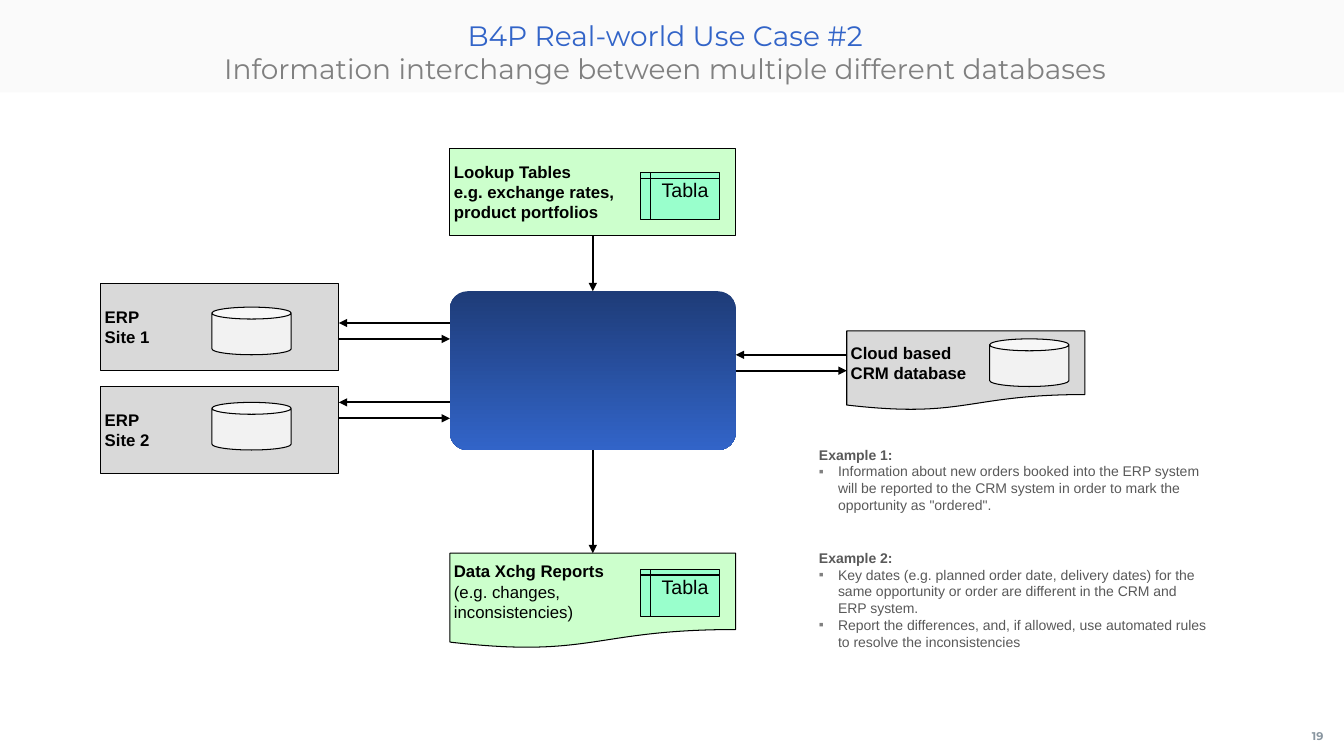
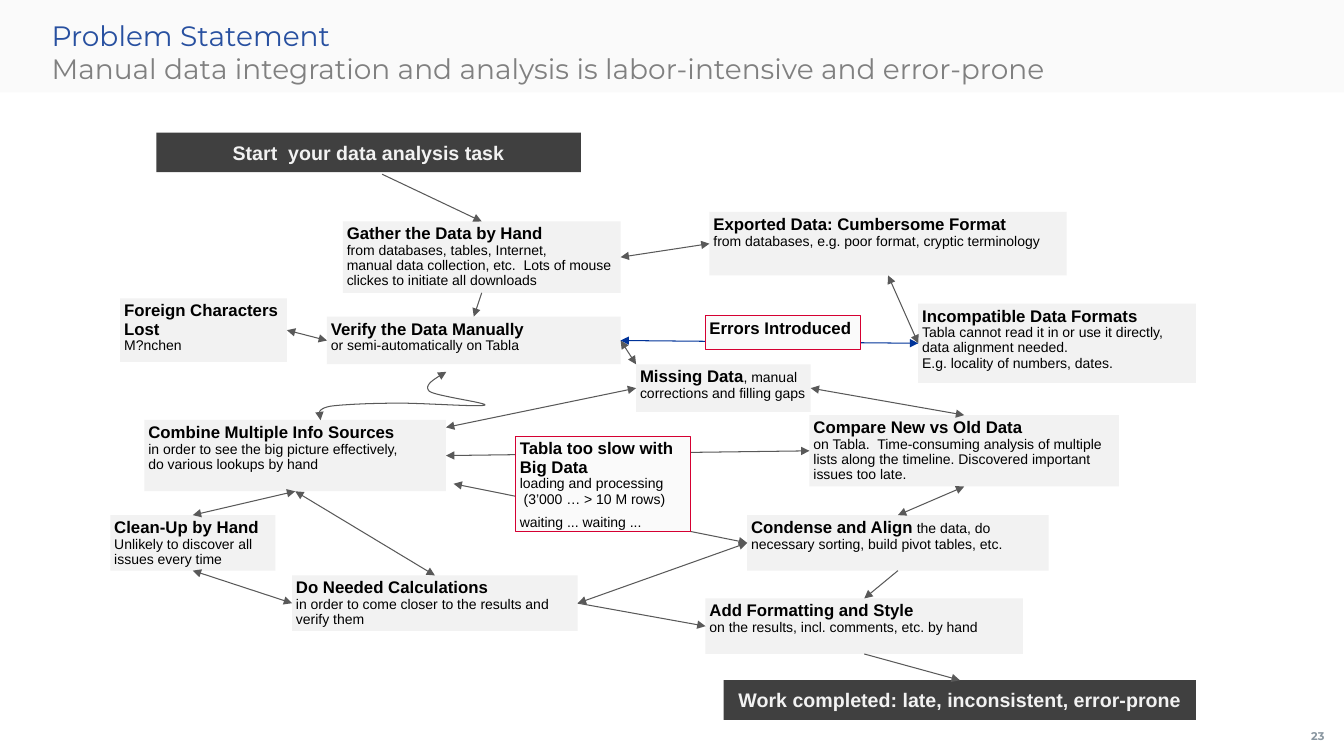
from collections import namedtuple
from lxml.etree import SubElement
from pptx import Presentation
from pptx.dml.color import RGBColor
from pptx.enum.shapes import MSO_CONNECTOR, MSO_SHAPE as Preset
from pptx.enum.text import MSO_ANCHOR as Anchor, PP_ALIGN as Align
from pptx.oxml.ns import qn
from pptx.util import Cm, Pt

Style = namedtuple("Style", "size bold color font bullet", defaults=("Arial", None))
rgb = RGBColor.from_string


class Theme:
    black = rgb("000000")
    pale, alert_fill, dark = rgb("F2F2F2"), rgb("FAFAFA"), rgb("404040")
    system, green, mint = rgb("D9D9D9"), rgb("CCFFCC"), rgb("99FFCC")
    navy, blue, accent = rgb("1E3C78"), rgb("3264C8"), rgb("003399")
    red, gray, bullet_gray = rgb("D50032"), rgb("595959"), rgb("808080")
    thin, thick = Pt(0.75), Pt(1.5)
    case_title = Style(20, False, blue, "Montserrat")
    problem_title = Style(20, False, rgb("2850A0"), "Montserrat")
    subtitle = Style(20, False, bullet_gray, "Montserrat")
    page = Style(8, True, rgb("8996A0"), "Montserrat")
    label = Style(12, True, black)
    detail = Style(12, False, black)
    sheet = Style(14, False, black)
    example = Style(10, True, gray)
    point = Style(10, False, gray, "Arial", "▪")
    bar = Style(14, True, pale)
    note = Style(10, False, black)


def block(slide, preset, at, paragraphs=(), fill=None, edge=None,
          align=Align.LEFT, anchor=Anchor.MIDDLE, inset=0.1):
    place = [Cm(length) for length in at]
    if preset is None:
        shape = slide.shapes.add_textbox(*place)
    else:
        shape = slide.shapes.add_shape(preset, *place)
        shape.shadow.inherit = False
    if fill is None:
        shape.fill.background()
    else:
        shape.fill.solid()
        shape.fill.fore_color.rgb = fill
    if edge is None:
        shape.line.fill.background()
    else:
        shape.line.color.rgb = edge
        shape.line.width = Theme.thin
    frame = shape.text_frame
    frame.word_wrap = True
    frame.vertical_anchor = anchor
    frame.margin_left = frame.margin_right = Cm(inset)
    frame.margin_top = frame.margin_bottom = Cm(inset)
    for index, runs in enumerate(paragraphs):
        paragraph = frame.add_paragraph() if index else frame.paragraphs[0]
        paragraph.alignment = align
        base = runs[-1][0]
        if base.bullet:
            props = paragraph._p.get_or_add_pPr()
            props.set("marL", str(Cm(0.48)))
            props.set("indent", str(-Cm(0.48)))
            tint = SubElement(props, qn("a:buClr"))
            SubElement(tint, qn("a:srgbClr"), val=str(Theme.bullet_gray))
            SubElement(props, qn("a:buFont"), typeface=base.font)
            SubElement(props, qn("a:buChar"), char=base.bullet)
        styled = [(paragraph.font, base)]
        for style, text in runs:
            for row, part in enumerate(text.split("\n")):
                if row:
                    paragraph.add_line_break()
                if part:
                    run = paragraph.add_run()
                    run.text = part
                    if style != base:
                        styled.append((run.font, style))
        for font, style in styled:
            font.name, font.size, font.bold = style.font, Pt(style.size), style.bold
            font.color.rgb = style.color
    return shape


def arrow(slide, points, color=Theme.gray, width=Theme.thin, both=False):
    if len(points) > 2:
        corners = [(Cm(x), Cm(y)) for x, y in points]
        path_builder = slide.shapes.build_freeform(*corners[0])
        path_builder.add_line_segments(corners[1:], close=False)
        stroke = path_builder.convert_to_shape()
        stroke.fill.background()
    else:
        start, end = points
        stroke = slide.shapes.add_connector(MSO_CONNECTOR.STRAIGHT, 0, 0, 0, 0)
        if isinstance(start[0], (int, float)):
            stroke.begin_x, stroke.begin_y = Cm(start[0]), Cm(start[1])
        else:
            stroke.begin_connect(*start)
        if isinstance(end[0], (int, float)):
            stroke.end_x, stroke.end_y = Cm(end[0]), Cm(end[1])
        else:
            stroke.end_connect(*end)
    stroke.line.color.rgb = color
    stroke.line.width = width
    props = stroke._element.spPr
    for tip in ("a:headEnd", "a:tailEnd") if both else ("a:tailEnd",):
        SubElement(props.find(qn("a:ln")), qn(tip), type="triangle")
    SubElement(props, qn("a:effectLst"))


deck = Presentation()
deck.slide_width, deck.slide_height = Cm(33.87), Cm(19.05)

slides = []
for title_style, title, subtitle, align, number in [
    (Theme.case_title, "B4P Real-world Use Case #2",
     "Information interchange between multiple different databases", Align.CENTER, "19"),
    (Theme.problem_title, "Problem Statement",
     "Manual data integration and analysis is labor-intensive and error-prone", Align.LEFT, "23"),
]:
    slide = deck.slides.add_slide(deck.slide_layouts[6])
    band = block(slide, Preset.RECTANGLE, (0, 0, 33.87, 2.33), fill=Theme.pale)
    band_color = band._element.spPr.find(qn("a:solidFill")).find(qn("a:srgbClr"))
    SubElement(band_color, qn("a:alpha"), val="34000")
    block(slide, None, (1.3, 0.46, 30.93, 1.75),
          [[(title_style, title), (Theme.subtitle, "\n" + subtitle)]],
          align=align, anchor=Anchor.TOP, inset=0)
    block(slide, None, (32.74, 18.06, 0.94, 0.98), [[(Theme.page, number)]],
          align=Align.CENTER, inset=0)
    slides.append(slide)
use_case, problem = slides

engine = block(use_case, Preset.ROUNDED_RECTANGLE, (11.34, 7.34, 7.2, 4))
engine.adjustments[0] = 0.11
engine.fill.gradient()
engine.fill.gradient_angle = 270
for stop, shade in zip(engine.fill.gradient_stops, (Theme.navy, Theme.blue)):
    stop.color.rgb = shade

lookup, report, crm = [
    block(use_case, preset, at, [[(style, text)] for style, text in rows], fill, Theme.black)
    for preset, at, fill, rows in [
        (Preset.RECTANGLE, (11.34, 3.74, 7.2, 2.2), Theme.green,
         [(Theme.label, "Lookup Tables"), (Theme.label, "e.g. exchange rates,"),
          (Theme.label, "product portfolios")]),
        (Preset.FLOWCHART_DOCUMENT, (11.34, 13.94, 7.2, 2.4), Theme.green,
         [(Theme.label, "Data Xchg Reports"), (Theme.detail, "(e.g. changes,"),
          (Theme.detail, "inconsistencies)")]),
        (Preset.FLOWCHART_DOCUMENT, (21.34, 8.34, 6, 2), Theme.system,
         [(Theme.label, "Cloud based"), (Theme.label, "CRM database")]),
    ]
]
for top in (4.34, 14.34):
    block(use_case, Preset.FLOWCHART_INTERNAL_STORAGE, (16.14, top, 2, 1.2),
          [[(Theme.sheet, "Tabla")]], Theme.mint, Theme.black,
          Align.CENTER, Anchor.TOP, 0)

flows = [((lookup, 2), (engine, 0)), ((engine, 2), (report, 0)),
         ((21.34, 8.94), (18.54, 8.94)), ((engine, 3), (crm, 1))]
databases = [(24.94, 8.54)]
for index in range(2):
    block(use_case, Preset.RECTANGLE, (2.54, 7.14 + 2.6 * index, 6, 2.2),
          [[(Theme.label, "ERP")], [(Theme.label, f"Site {index + 1}")]],
          Theme.system, Theme.black)
    databases.append((5.34, 7.74 + 2.4 * index))
    lane = 8.14 + 2 * index
    flows += [((11.34, lane), (8.54, lane)), ((8.54, lane + 0.4), (11.34, lane + 0.4))]
for left, top in databases:
    block(use_case, Preset.CAN, (left, top, 2, 1.2), fill=Theme.pale, edge=Theme.black)
for flow in flows:
    arrow(use_case, flow, Theme.black, Theme.thick)

for top, height, heading, points in [
    (11.14, 2.2, "Example 1:",
     ["Information about new orders booked into the ERP system will be reported to the "
      "CRM system in order to mark the opportunity as \"ordered\"."]),
    (13.74, 2.8, "Example 2:",
     ["Key dates (e.g. planned order date, delivery dates) for the same opportunity or "
      "order are different in the CRM and ERP system.",
      "Report the differences, and, if allowed, use automated rules to resolve the "
      "inconsistencies"]),
]:
    block(use_case, None, (20.54, top, 10, height),
          [[(Theme.example, heading)]] + [[(Theme.point, point)] for point in points],
          anchor=Anchor.TOP)

start, done = [
    block(problem, Preset.RECTANGLE, at, [[(Theme.bar, text)]], Theme.dark, align=Align.CENTER)
    for at, text in [
        ((3.94, 3.34, 10.7, 1), "Start  your data analysis task"),
        ((18.24, 17.14, 11.9, 1), "Work completed: late, inconsistent, error-prone"),
    ]
]

steps = [
    ((8.64, 5.58, 7, 1.8), "Gather the Data by Hand",
     "\nfrom databases, tables, Internet,\nmanual data collection, etc.  Lots of mouse "
     "clickes to initiate all downloads"),
    ((8.24, 7.98, 7.4, 1.2), "Verify the Data Manually", "\nor semi-automatically on Tabla"),
    ((18.83, 12.98, 7.6, 1.4), "Condense and Align",
     " the data, do necessary sorting, build pivot tables, etc."),
    ((17.88, 5.34, 9, 1.6), "Exported Data: Cumbersome Format",
     "\nfrom databases, e.g. poor format, cryptic terminology"),
    ((17.78, 15.08, 8, 1.4), "Add Formatting and Style",
     "\non the results, incl. comments, etc. by hand"),
    ((20.4, 10.46, 7.8, 1.8), "Compare New vs Old Data",
     "\non Tabla.  Time-consuming analysis of multiple lists along the timeline. "
     "Discovered important issues too late."),
    ((3.03, 7.52, 4.2, 1.6), "Foreign Characters\nLost", "\nM?nchen"),
    ((23.14, 7.65, 7, 2), "Incompatible Data Formats",
     "\nTabla cannot read it in or use it directly, data alignment needed.\n"
     "E.g. locality of numbers, dates."),
    ((3.64, 10.58, 7.6, 1.8), "Combine Multiple Info Sources",
     "\nin order to see the big picture effectively,\ndo various lookups by hand"),
    ((16.03, 9.18, 4.4, 1.2), "Missing Data", ", manual corrections and filling gaps"),
    ((7.36, 14.5, 7.2, 1.4), "Do Needed Calculations",
     "\nin order to come closer to the results and verify them"),
    ((2.78, 12.98, 4.16, 1.4), "Clean-Up by Hand",
     "\nUnlikely to discover all\nissues every time"),
]
cards = [
    block(problem, Preset.RECTANGLE, at, [[(Theme.label, heading), (Theme.note, text)]],
          Theme.pale, anchor=Anchor.TOP)
    for at, heading, text in steps
]
(gather, verify, condense, exported, styling, compare,
 foreign, formats, combine, missing, calculate, cleanup) = cards

for route in [
    ((9.63, 4.39), (gather, 0)), ((gather, 2), (verify, 0)),
    ((calculate, 3), (styling, 1)), ((condense, 2), (styling, 0)),
    ((styling, 2), (done, 0)),
]:
    arrow(problem, route)
for route in [
    ((gather, 3), (exported, 1)), ((exported, 2), (formats, 1)),
    ((combine, 3), (compare, 1)), ((verify, 3), (16.03, 9.18)),
    ((verify, 1), (foreign, 3)), ((calculate, 3), (condense, 1)),
    ((compare, 2), (condense, 0)), ((combine, 2), (calculate, 0)),
    ((11.43, 12.19), (condense, 1)), ((11.24, 10.77), (missing, 1)),
    ((missing, 3), (compare, 0)), ((combine, 2), (cleanup, 0)),
    ((calculate, 1), (cleanup, 2)),
]:
    arrow(problem, route, both=True)
arrow(problem, ((verify, 3), (formats, 1)), Theme.accent, both=True)

bends = [(11.25, 9.37), (10.95, 9.55), (10.67, 9.7), (10.82, 9.86),
         (10.97, 9.98), (12.34, 10.16), (12.22, 10.21),
         (12.09, 10.26), (10.72, 10.16), (10.08, 10.16),
         (9.42, 10.16), (8.64, 10.19), (8.31, 10.24),
         (7.98, 10.31), (8.03, 10.44), (8.08, 10.59)]
detour = bends[:1]
for first in range(0, len(bends) - 1, 3):
    for step in range(1, 13):
        t = step / 12
        weights = ((1 - t) ** 3, 3 * t * (1 - t) ** 2, 3 * t * t * (1 - t), t ** 3)
        detour.append([sum(weight * bend[axis] for weight, bend
                           in zip(weights, bends[first:first + 4])) for axis in range(2)])
arrow(problem, detour, both=True)

for at, paragraphs in [
    ((13, 11, 4.4, 2.4),
     [[(Theme.label, "Tabla too slow with Big Data"),
       (Theme.note, "\nloading and processing\n (3’000 … > 10 M rows)")],
      [(Theme.note, "waiting ... waiting ...")]]),
    ((17.78, 7.96, 3.9, 0.86), [[(Theme.label, "Errors Introduced")]]),
]:
    cards.append(block(problem, Preset.RECTANGLE, at, paragraphs,
                       Theme.alert_fill, Theme.red, anchor=Anchor.TOP))
for card in cards:
    for index, paragraph in enumerate(card.text_frame.paragraphs):
        paragraph.line_spacing = 0.9
        paragraph.space_after = Pt(3)
        if index:
            paragraph.space_before = Pt(3)

deck.save("out.pptx")
